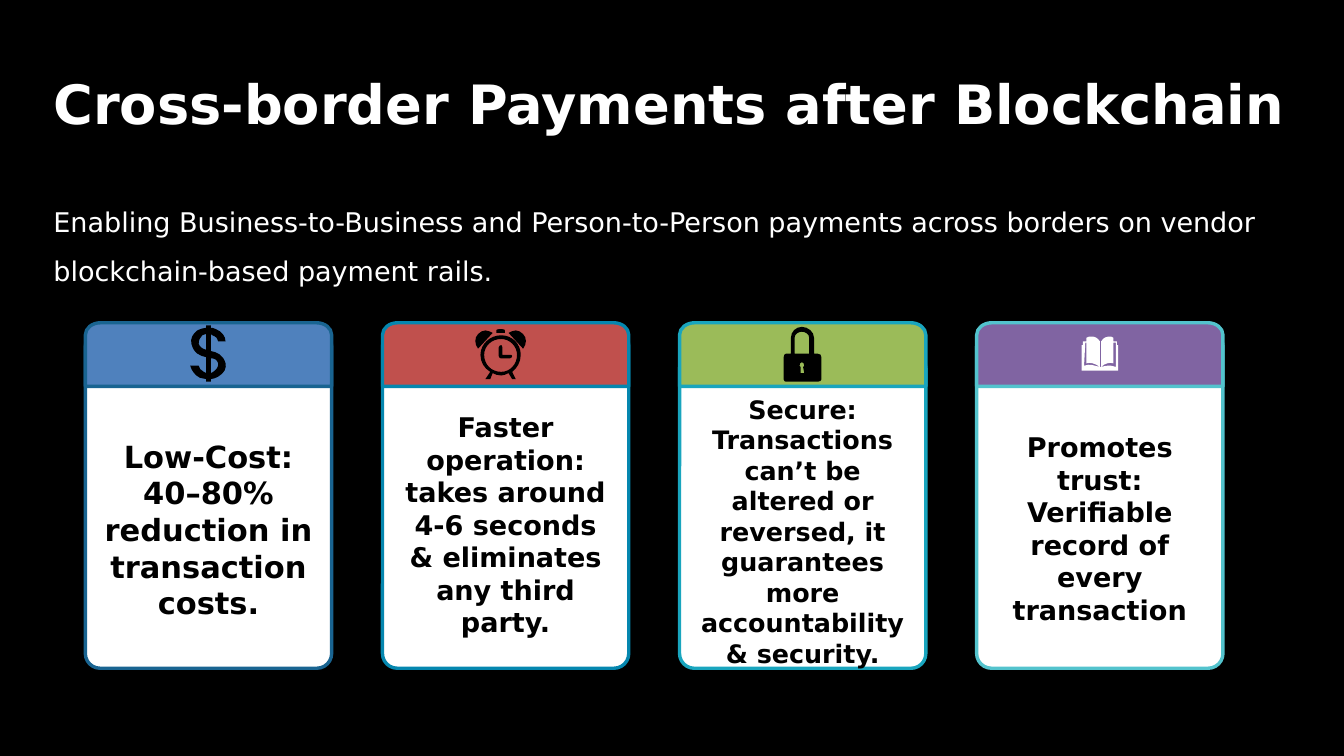
from pptx import Presentation
from pptx.dml.color import RGBColor
from pptx.enum.shapes import MSO_SHAPE
from pptx.enum.text import MSO_ANCHOR, PP_ALIGN
from pptx.oxml.ns import qn
from pptx.util import Pt

ROUND = MSO_SHAPE.ROUNDED_RECTANGLE
MIDDLE = MSO_ANCHOR.MIDDLE
CENTER = PP_ALIGN.CENTER
LEFT = PP_ALIGN.LEFT

THEME = dict(font="DejaVu Sans", back="000000", light="FFFFFF", dark="000000",
             title=32, intro=16, line=2)

TITLE = "Cross-border Payments after Blockchain"
INTRO = ("Enabling Business-to-Business and Person-to-Person payments across "
         "borders on vendor blockchain-based payment rails.")

DOLLAR = [
    "M 17 27 L 17 39 C 18 39 19 38 19 38 22 36 23 34 23 31 22 28 20 27 17 27",
    "M 13 7 C 12 7 11 8 10 8 8 10 7 12 7 15 8 18 10 19 13 20",
    "M 13 0 L 17 0 17 2 C 17 2 20 2 21 3 26 5 29 9 29 13 L 23 13 "
    "C 23 11 21 9 18 8 18 7 17 7 17 7 L 17 21 "
    "C 22 22 27 24 29 31 30 35 28 39 23 42 21 43 19 44 17 44 "
    "L 17 46 13 46 13 44 C 11 44 10 44 8 43 4 41 1 37 0 33 L 7 33 "
    "C 7 35 9 37 11 38 12 38 12 39 13 39 L 13 26 "
    "C 8 25 3 23 1 15 0 11 2 7 6 4 8 3 11 2 13 2",
]
CLOCK = [
    "M 21 13 C 21 13 22 14 22 15 L 22 21 28 21 "
    "C 29 21 30 21 30 22 30 23 29 24 28 24 L 21 24 "
    "C 20 24 19 23 19 22 L 19 15 C 19 14 20 13 21 13",
    "M 21 8 C 13 8 7 14 7 21 7 29 13 35 21 35 28 35 34 29 34 21 34 14 28 8 21 8",
    "M 21 5 C 30 5 37 12 37 21 37 27 34 32 30 35 L 33 41 30 41 27 36 "
    "C 25 37 23 38 21 38 18 38 16 37 14 36 L 12 41 8 41 12 35 "
    "C 7 32 4 27 4 21 4 12 12 5 21 5",
    "M 8 1 C 10 1 12 2 14 3 L 2 16 C -1 12 -1 7 2 4 4 2 6 1 8 1",
    "M 33 1 C 35 1 37 2 39 4 42 7 42 12 39 16 L 27 3 C 29 2 31 1 33 1",
    "M 19 0 L 22 0 C 23 0 24 0 24 1 L 24 3 17 3 17 1 C 17 0 18 0 19 0",
]
LOCK = [
    "M 15 29 C 14 29 13 30 13 32 13 32 14 33 14 33 L 14 38 17 38 16 33 "
    "C 17 33 17 32 17 32 17 30 16 29 15 29",
    "M 15 4 C 12 4 9 6 9 9 L 9 22 21 22 21 9 C 21 6 18 4 15 4",
    "M 15 0 C 20 0 25 4 25 9 L 25 22 28 22 C 30 22 31 23 31 25 L 31 43 "
    "C 31 44 30 45 28 45 L 2 45 C 1 45 0 44 0 43 L 0 25 "
    "C 0 23 1 22 2 22 L 6 22 6 9 C 6 4 10 0 15 0",
]
BOOK = [
    "M 15 25 L 16 25 C 20 24 23 23 28 25 L 28 5 26 5 "
    "C 26 11 26 17 26 22 23 21 19 22 16 25 L 16 4 "
    "C 18 1 20 0 22 0 24 0 25 0 26 1 26 2 26 3 26 4 "
    "L 29 4 29 7 30 7 30 28 0 28 0 7 1 7 1 4 4 4 "
    "C 4 3 4 2 4 1 5 0 7 0 8 0 11 0 13 1 15 4 L 15 25 "
    "C 11 22 7 21 4 22 L 4 5 3 5 2 24 C 7 22 10 24 15 25",
]

CARDS = [
    dict(text="Low-Cost: 40–80% reduction in transaction costs.", size=18,
         top=195.8, drop=34.8, fill="4F81BD", edge="196491",
         icon=DOLLAR, ink="dark", at=(61.9, 192.2)),
    dict(text="Faster operation: takes around 4-6 seconds & eliminates any third party.",
         size=16, top=195.8, drop=28.8, fill="C0504D", edge="0587AF",
         icon=CLOCK, ink="dark", at=(55, 194.4)),
    dict(text="Secure: Transactions can’t be altered or reversed, it guarantees "
              "more accountability & security.",
         size=15, top=208.8, drop=23.6, fill="9BBB59", edge="19A5BE",
         icon=LOCK, ink="dark", at=(61.4, 193)),
    dict(text="Promotes trust: Verifiable record of every transaction", size=16,
         top=195.8, drop=33.3, fill="8064A2", edge="53C3CD",
         icon=BOOK, ink="light", at=(62, 198.7)),
]

START, PITCH, WIDE, BASE = 50.4, 175.4, 145.4, 394.6
HEAD_TOP, HEAD_TALL = 190.6, 37.6
HEAD = [f"M 9 0 L {WIDE - 9} 0 C {WIDE - 4} 0 {WIDE} 3.2 {WIDE} 7.2 "
        f"L {WIDE} {HEAD_TALL} 0 {HEAD_TALL} 0 7.2 C 0 3.2 4 0 9 0"]
UNIT = 0.72


def paint(shape, fill, edge=None):
    shape.shadow.inherit = False
    shape.fill.solid()
    shape.fill.fore_color.rgb = RGBColor.from_string(fill)
    if edge:
        shape.line.color.rgb = RGBColor.from_string(edge)
        shape.line.width = Pt(THEME["line"])
    else:
        shape.line.fill.background()


def points(code):
    mode, nums, modes = "", [], []
    for token in code.split():
        if token in "MLC":
            mode = token
        else:
            nums.append(float(token))
            modes.append(mode)
    return list(zip(nums[::2], nums[1::2])), modes[::2]


def bend(shape, modes):
    nodes = iter(list(shape.element.iter(qn("a:lnTo"))))
    marks = iter(modes)
    for node, mark in zip(nodes, marks):
        if mark == "C":
            node.tag = qn("a:cubicBezTo")
            for _ in range(2):
                next(marks)
                extra = next(nodes)
                node.append(extra[0])
                extra.getparent().remove(extra)


def trace(shapes, loops, left, top, unit):
    pen, marks = None, []
    for code in loops:
        pairs, modes = points(code)
        dots = [(Pt(left + x * unit), Pt(top + y * unit)) for x, y in pairs]
        if pen is None:
            pen = shapes.build_freeform(*dots[0])
        else:
            pen.move_to(*dots[0])
        pen.add_line_segments(dots[1:], close=True)
        marks += modes[1:]
    shape = pen.convert_to_shape()
    bend(shape, marks)
    return shape


def write(shape, text, size, color, bold, align, space=None):
    frame = shape.text_frame
    frame.text = text
    frame.word_wrap = True
    frame.vertical_anchor = MIDDLE
    para = frame.paragraphs[0]
    para.alignment = align
    if space:
        para.line_spacing = space
    font = para.runs[0].font
    font.name, font.size, font.bold = THEME["font"], Pt(size), bold
    font.color.rgb = RGBColor.from_string(color)


def label(shapes, top, text, size, bold, space):
    box = shapes.add_textbox(Pt(24.5), Pt(top), Pt(753.1), Pt(46.8))
    write(box, text, size, THEME["light"], bold, LEFT, space)


def card(shapes, left, item):
    top = item["top"]
    body = shapes.add_shape(ROUND, Pt(left), Pt(top), Pt(WIDE), Pt(BASE - top))
    body.adjustments[0] = 0.06
    paint(body, THEME["light"], item["edge"])
    write(body, item["text"], item["size"], THEME["dark"], True, CENTER)
    body.text_frame.margin_top = Pt(item["drop"])
    body.text_frame.margin_bottom = Pt(0)
    paint(trace(shapes, HEAD, left, HEAD_TOP, 1), item["fill"], item["edge"])
    x, y = item["at"]
    paint(trace(shapes, item["icon"], left + x, y, UNIT), THEME[item["ink"]])


def main():
    deck = Presentation()
    deck.slide_width, deck.slide_height = Pt(793.44), Pt(446.4)
    slide = deck.slides.add_slide(deck.slide_layouts[6])
    slide.background.fill.solid()
    slide.background.fill.fore_color.rgb = RGBColor.from_string(THEME["back"])
    label(slide.shapes, 39.6, TITLE, THEME["title"], True, 0.9)
    label(slide.shapes, 117.2, INTRO, THEME["intro"], False, 1.5)
    for i, item in enumerate(CARDS):
        card(slide.shapes, START + i * PITCH, item)
    deck.save("out.pptx")


if __name__ == "__main__":
    main()
